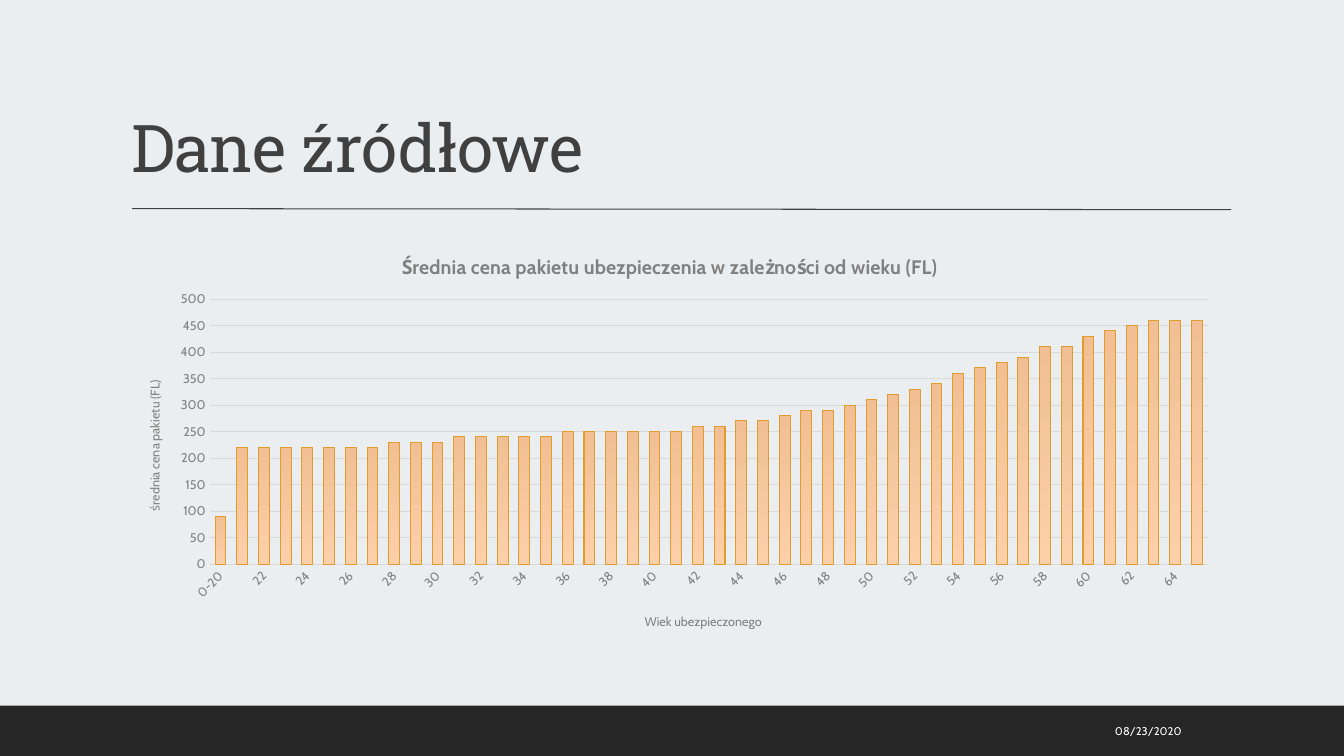
from lxml import etree
from pptx import Presentation
from pptx.chart.data import CategoryChartData
from pptx.dml.color import RGBColor
from pptx.enum.chart import XL_CHART_TYPE, XL_TICK_MARK
from pptx.enum.shapes import MSO_CONNECTOR, MSO_SHAPE
from pptx.enum.text import MSO_ANCHOR, MSO_AUTO_SIZE, PP_ALIGN
from pptx.oxml.ns import qn
from pptx.util import Inches, Pt

COLUMNS = XL_CHART_TYPE.COLUMN_CLUSTERED
NO_TICKS = XL_TICK_MARK.NONE
STRAIGHT = MSO_CONNECTOR.STRAIGHT
RECTANGLE = MSO_SHAPE.RECTANGLE
BOTTOM, MIDDLE = MSO_ANCHOR.BOTTOM, MSO_ANCHOR.MIDDLE
NO_AUTOFIT = MSO_AUTO_SIZE.NONE
LEFT, RIGHT = PP_ALIGN.LEFT, PP_ALIGN.RIGHT

AGES = ["0-20", *map(str, range(21, 65)), "65 and over"]
PRICES = [
    90, 220, 220, 220, 220, 220, 220, 220, 230, 230, 230, 240, 240, 240, 240, 240,
    250, 250, 250, 250, 250, 250, 260, 260, 270, 270, 280, 290, 290, 300, 310, 320,
    330, 340, 360, 370, 380, 390, 410, 410, 430, 440, 450, 460, 460, 460,
]


def color(value):
    return RGBColor.from_string(value)


def set_font(font, name, size, shade, bold=False):
    for key, value in {"name": name, "size": Pt(size), "bold": bold}.items():
        setattr(font, key, value)
    font.color.rgb = color(shade)


def set_line(line, shade, width=0.75):
    line.color.rgb = color(shade)
    line.width = Pt(width)


def place(element, **fractions):
    """Fix a chart part at the given fractions of the chart area."""
    layout = element.find(qn("c:layout"))
    if layout is None:
        layout = etree.Element(qn("c:layout"))
        element.insert(0, layout)
    manual = etree.SubElement(layout, qn("c:manualLayout"))
    values = {"xMode": "edge", "yMode": "edge", **fractions}
    if "w" in fractions:
        values = {"layoutTarget": "inner", **values}
    for key, value in values.items():
        etree.SubElement(manual, qn("c:" + key)).set("val", str(value))


class SlideBuilder:
    heading_font = "Roboto Slab"
    body_font = "Cabin"
    dark, gray, pale = "404040", "808080", "D9D9D9"

    def __init__(self, deck):
        self.page = deck.slides.add_slide(deck.slide_layouts[5])
        fill = self.page.background.fill
        fill.solid()
        fill.fore_color.rgb = color("EBEEF1")

    def add_text(self, box, text, font, size, shade, anchor, align):
        frame = box.text_frame
        settings = {"word_wrap": True, "auto_size": NO_AUTOFIT, "vertical_anchor": anchor}
        for key, value in settings.items():
            setattr(frame, key, value)
        para = frame.paragraphs[0]
        para.alignment = align
        span = para.add_run()
        span.text = text
        set_font(span.font, font, size, shade)
        return para, span

    def title(self, text, left, top, width, height):
        box = self.page.shapes.title
        position = {"left": left, "top": top, "width": width, "height": height}
        for key, value in position.items():
            setattr(box, key, Inches(value))
        para, span = self.add_text(box, text, self.heading_font, 47, self.dark, BOTTOM, LEFT)
        para.line_spacing = 0.9
        span.font._element.set("spc", "-50")

    def date(self, text, *position):
        box = self.page.shapes.add_textbox(*map(Inches, position))
        self.add_text(box, text, self.body_font, 8, "FFFFFF", MIDDLE, RIGHT)

    def band(self, *position):
        band = self.page.shapes.add_shape(RECTANGLE, *map(Inches, position))
        band.shadow.inherit = False
        band.fill.solid()
        band.fill.fore_color.rgb = color("262626")
        band.line.fill.background()

    def rule(self, *ends):
        rule = self.page.shapes.add_connector(STRAIGHT, *map(Inches, ends))
        set_line(rule.line, self.dark)
        etree.SubElement(rule._element.spPr, qn("a:effectLst"))

    def label(self, owner, text, size, bold=False, **fractions):
        """Fill and place a chart title or an axis title."""
        span = owner.text_frame.paragraphs[0].add_run()
        span.text = text
        set_font(span.font, self.body_font, size, self.gray, bold)
        place(owner._element, **fractions)

    def axis(self, axis, title, **fractions):
        axis.major_tick_mark = axis.minor_tick_mark = NO_TICKS
        set_font(axis.tick_labels.font, self.body_font, 9, self.gray)
        self.label(axis.axis_title, title, 9, **fractions)

    def column_chart(self, *position):
        data = CategoryChartData()
        data.categories = AGES
        data.add_series("Series 1", PRICES)
        chart = self.page.shapes.add_chart(COLUMNS, *map(Inches, position), data).chart
        set_font(chart.font, "Arial", 10, "000000")
        chart.has_legend = False
        self.label(chart.chart_title,
                   "Średnia cena pakietu ubezpieczenia w zależności od wieku (FL)",
                   14, True, x=0.25, y=0.04)
        place(chart._chartSpace.chart.plotArea, x=0.08, y=0.16, w=0.9, h=0.64)

        ages, prices = chart.category_axis, chart.value_axis
        self.axis(ages, "Wiek ubezpieczonego", x=0.47, y=0.91)
        set_line(ages.format.line, self.pale)
        ages._element.find(qn("c:txPr")).find(qn("a:bodyPr")).set("rot", "-2700000")
        self.axis(prices, "średnia cena pakietu (FL)", x=0.02, y=0.35)
        prices.axis_title.text_frame._txBody.bodyPr.set("rot", "-5400000")
        scale = {"minimum_scale": 0, "maximum_scale": 500, "major_unit": 50}
        for key, value in scale.items():
            setattr(prices, key, value)
        prices.format.line.fill.background()
        set_line(prices.major_gridlines.format.line, self.pale)

        plot = chart.plots[0]
        for key, value in {"gap_width": 100, "overlap": -24, "vary_by_categories": False}.items():
            setattr(plot, key, value)
        bars = plot.series[0].format
        bars.fill.gradient()
        bars.fill.gradient_angle = 270
        for stop, shade in zip(bars.fill.gradient_stops, ("F1BF93", "FDD0AA")):
            stop.color.rgb = color(shade)
        set_line(bars.line, "E09C2C")


def main():
    deck = Presentation()
    deck.slide_width, deck.slide_height = Inches(13.33), Inches(7.5)
    slide = SlideBuilder(deck)
    slide.band(0, 7, 13.33, 0.5)
    slide.rule(1.31, 2.07, 12.21, 2.08)
    slide.title("Dane źródłowe", 1.2, 0.31, 11, 1.59)
    slide.date("08/23/2020", 8.99, 7.05, 2.83, 0.4)
    slide.column_chart(1.2, 2.31, 11, 4.11)
    deck.save("out.pptx")


if __name__ == "__main__":
    main()
